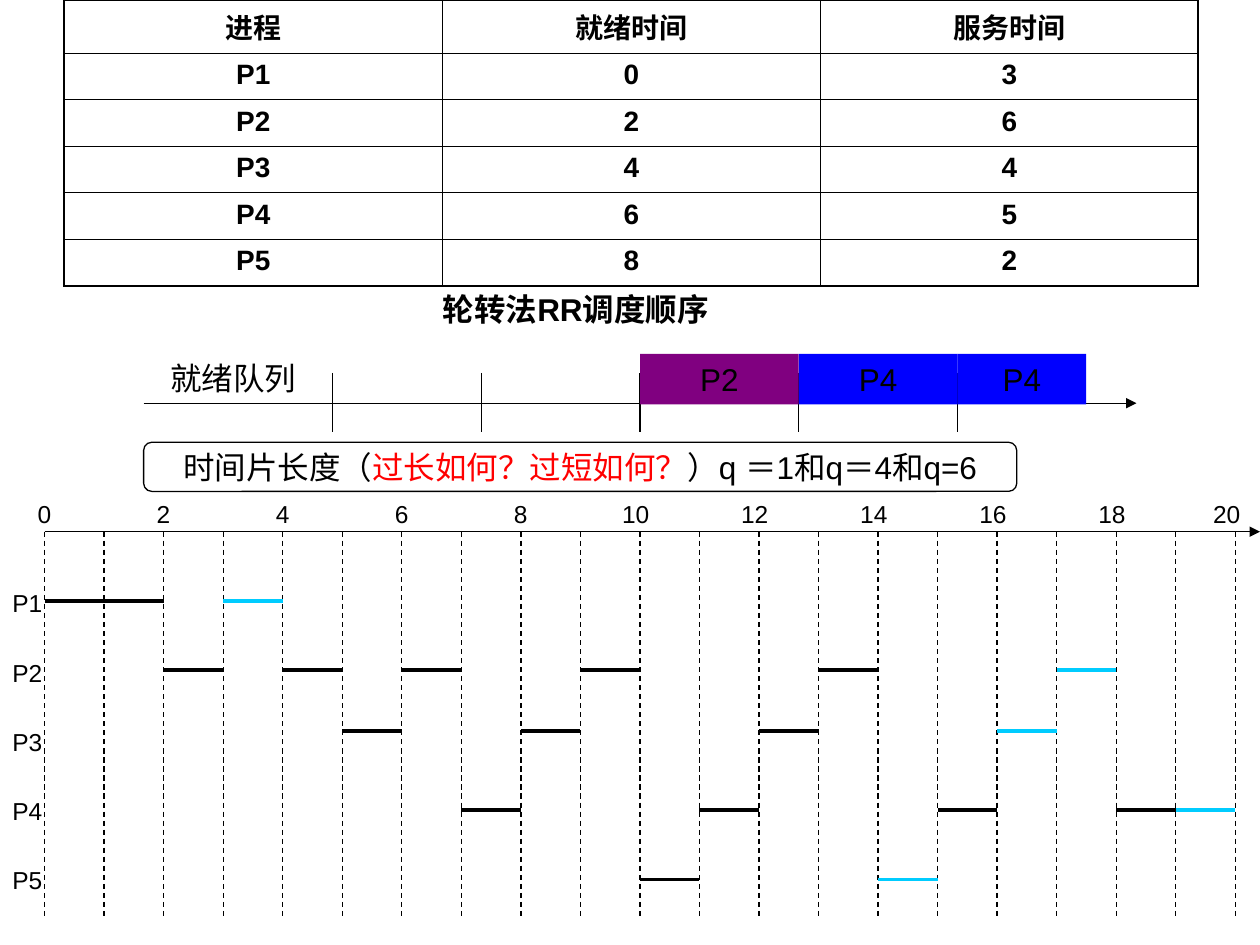
"""Build the round-robin scheduling slide."""
from typing import NamedTuple

import lxml.etree
import pptx
import pptx.dml.color
import pptx.enum.dml
import pptx.enum.shapes
import pptx.enum.text
import pptx.oxml
import pptx.oxml.ns
import pptx.util

SHAPE = pptx.enum.shapes.MSO_SHAPE
ALIGN = pptx.enum.text.PP_ALIGN
FIT = pptx.enum.text.MSO_AUTO_SIZE
WIDTH, HEIGHT = pptx.util.Inches(10), pptx.util.Inches(7.5)
BLACK, WHITE, RED, CYAN = "000000", "FFFFFF", "FF0000", "00CCFF"
PURPLE, BLUE = "800080", "0000FF"


class Box(NamedTuple):
    """A box in hundredths of the slide width."""
    left: float
    top: float
    wide: float
    high: float


class Run(NamedTuple):
    """One time slice of a process; the last slice ends it."""
    start: int
    proc: int
    last: bool = False


class Job(NamedTuple):
    """A job waiting in the ready queue."""
    name: str
    slot: int
    wide: float
    fill: str


HEADS = ("进程", "就绪时间", "服务时间")
TIMES = ((0, 3), (2, 6), (4, 4), (6, 5), (8, 2))
LEVELS = (47.7, 53.2, 58, 64.3, 69.8)
RUNS = (
    Run(0, 1), Run(1, 1), Run(2, 2), Run(3, 1, True), Run(4, 2),
    Run(5, 3), Run(6, 2), Run(7, 4), Run(8, 3), Run(9, 2),
    Run(10, 5), Run(11, 4), Run(12, 3), Run(13, 2), Run(14, 5, True),
    Run(15, 4), Run(16, 3, True), Run(17, 2, True), Run(18, 4),
    Run(19, 4, True),
)
JOBS = (Job("P2", 0, 12.6, PURPLE), Job("P4", 1, 12.6, BLUE),
        Job("P4", 2, 10.2, BLUE))
NOTE = (("时间片长度（", BLACK), ("过长如何？过短如何？", RED),
        ("）q ＝1和q＝4和q=6", BLACK))


def unit(num: float) -> int:
    """Turn hundredths of the slide width into a length."""
    return round(WIDTH * num / 100)


def tick(time: int) -> float:
    """Give the place of a time on the axis."""
    return 3.54 + time * 94.5 / 20


def slot(num: int) -> float:
    """Give the left edge of a queue slot."""
    return 50.8 + num * 12.6


def color(code: str) -> pptx.dml.color.RGBColor:
    """Turn a hex string into a colour."""
    return pptx.dml.color.RGBColor.from_string(code)


def style(run, size: float, code: str = BLACK, bold: bool = False) -> None:
    """Set the font of a run."""
    run.font.name, run.font.size = "Arial", pptx.util.Pt(size)
    run.font.bold = bold
    run.font.color.rgb = color(code)


def write(frame, text: str, size: float, bold: bool = False,
          align=ALIGN.CENTER) -> None:
    """Put one styled paragraph in a frame."""
    frame.text = text
    para = frame.paragraphs[0]
    para.alignment = align
    style(para.runs[0], size, bold=bold)


def label(slide, box: Box, text: str, size: float, bold: bool = False,
          align=ALIGN.CENTER) -> None:
    """Add a text box."""
    frame = slide.shapes.add_textbox(*map(unit, box)).text_frame
    frame.word_wrap = True
    frame.auto_size = FIT.SHAPE_TO_FIT_TEXT
    write(frame, text, size, bold, align)


def block(slide, kind, box: Box, fill: str):
    """Add a filled shape without line or shadow."""
    shape = slide.shapes.add_shape(kind, *map(unit, box))
    shape.shadow.inherit = False
    shape.fill.solid()
    shape.fill.fore_color.rgb = color(fill)
    shape.line.fill.background()
    return shape


def line(slide, start: tuple, end: tuple, code: str = BLACK,
         size: float = 0.75, dash: bool = False, head: bool = False) -> None:
    """Add a straight line, dashed or with an arrowhead on request."""
    item = slide.shapes.add_connector(
        pptx.enum.shapes.MSO_CONNECTOR.STRAIGHT, *map(unit, start + end))
    item.line.color.rgb = color(code)
    item.line.width = pptx.util.Pt(size)
    if dash:
        item.line.dash_style = pptx.enum.dml.MSO_LINE.DASH
    name = pptx.oxml.ns.qn
    if head:
        lxml.etree.SubElement(item.line._get_or_add_ln(), name("a:tailEnd"),
                              type="triangle")
    lxml.etree.SubElement(item.element.spPr, name("a:effectLst"))


def border(cell, outer: dict) -> None:
    """Draw four borders, thick where the side is an outer one."""
    props = cell._tc.get_or_add_tcPr()
    space = pptx.oxml.ns.nsdecls("a")
    for side, edge in outer.items():
        size = pptx.util.Pt(1.08 if edge else 0.45)
        props.append(pptx.oxml.parse_xml(
            f'<a:ln{side} {space} w="{size}"><a:solidFill>'
            f'<a:srgbClr val="{BLACK}"/></a:solidFill></a:ln{side}>'))


def table(slide) -> None:
    """Add the table of ready and service times."""
    rows = [HEADS] + [(f"P{num}", *map(str, pair))
                      for num, pair in enumerate(TIMES, 1)]
    last, end = len(rows) - 1, len(HEADS) - 1
    grid = slide.shapes.add_table(
        len(rows), len(HEADS), *map(unit, Box(5.1, 0, 90, 22.2))).table
    grid.first_row = grid.horz_banding = False
    for row, texts in enumerate(rows):
        for col, text in enumerate(texts):
            cell = grid.cell(row, col)
            border(cell, {"L": col == 0, "R": col == end,
                          "T": row == 0, "B": row == last})
            cell.fill.background()
            write(cell.text_frame, text, 16, True)


def queue(slide) -> None:
    """Add the ready queue axis, its ticks and its label."""
    line(slide, (11.4, 32), (90.2, 32), head=True)
    for left in (slot(2), slot(1), slot(0), slot(-1), 26.4):
        line(slide, (left, 29.6), (left, 34.3))
    label(slide, Box(11.4, 28, 14.2, 4), "就绪队列", 18)


def note(slide) -> None:
    """Add the rounded note about the time slice."""
    shape = block(slide, SHAPE.ROUNDED_RECTANGLE,
                  Box(11.4, 35.1, 69.3, 3.9), WHITE)
    shape.line.color.rgb = color(BLACK)
    shape.line.width = pptx.util.Pt(0.75)
    shape.text_frame.word_wrap = False
    para = shape.text_frame.paragraphs[0]
    para.alignment = ALIGN.CENTER
    for text, code in NOTE:
        run = para.add_run()
        run.text = text
        style(run, 18, code)


def chart(slide) -> None:
    """Add the time axis, the process labels and the time slices."""
    line(slide, (tick(0), 42.2), (100, 42.2), head=True)
    for time in range(21):
        line(slide, (tick(time), 42.2), (tick(time), 72.9), dash=True)
    for time in range(0, 21, 2):
        wide, shift = (3.2, 1.54) if time < 10 else (4.7, 2.4)
        left = min(tick(time) - shift, 100 - wide)
        label(slide, Box(left, 39.1, wide, 3.4), str(time), 14,
              align=ALIGN.LEFT)
    for num in range(len(LEVELS)):
        label(slide, Box(0, 46.2 + num * 5.5, 5.9, 3.4), f"P{num + 1}", 14,
              align=ALIGN.LEFT)
    for run in RUNS:
        level = LEVELS[run.proc - 1]
        line(slide, (tick(run.start), level), (tick(run.start + 1), level),
             CYAN if run.last else BLACK, 2.25)


def jobs(slide) -> None:
    """Add the jobs that wait in the queue."""
    for job in JOBS:
        shape = block(slide, SHAPE.RECTANGLE,
                      Box(slot(job.slot), 28.1, job.wide, 4), job.fill)
        frame = shape.text_frame
        frame.vertical_anchor = pptx.enum.text.MSO_ANCHOR.TOP
        frame.auto_size = FIT.SHAPE_TO_FIT_TEXT
        write(frame, job.name, 18)


def main() -> None:
    """Build and save the slide."""
    deck = pptx.Presentation()
    deck.slide_width, deck.slide_height = WIDTH, HEIGHT
    slide = deck.slides.add_slide(deck.slide_layouts[6])
    table(slide)
    queue(slide)
    note(slide)
    label(slide, Box(28, 22.5, 35.4, 4), "轮转法RR调度顺序", 18, True)
    chart(slide)
    jobs(slide)
    deck.save("out.pptx")


if __name__ == "__main__":
    main()
